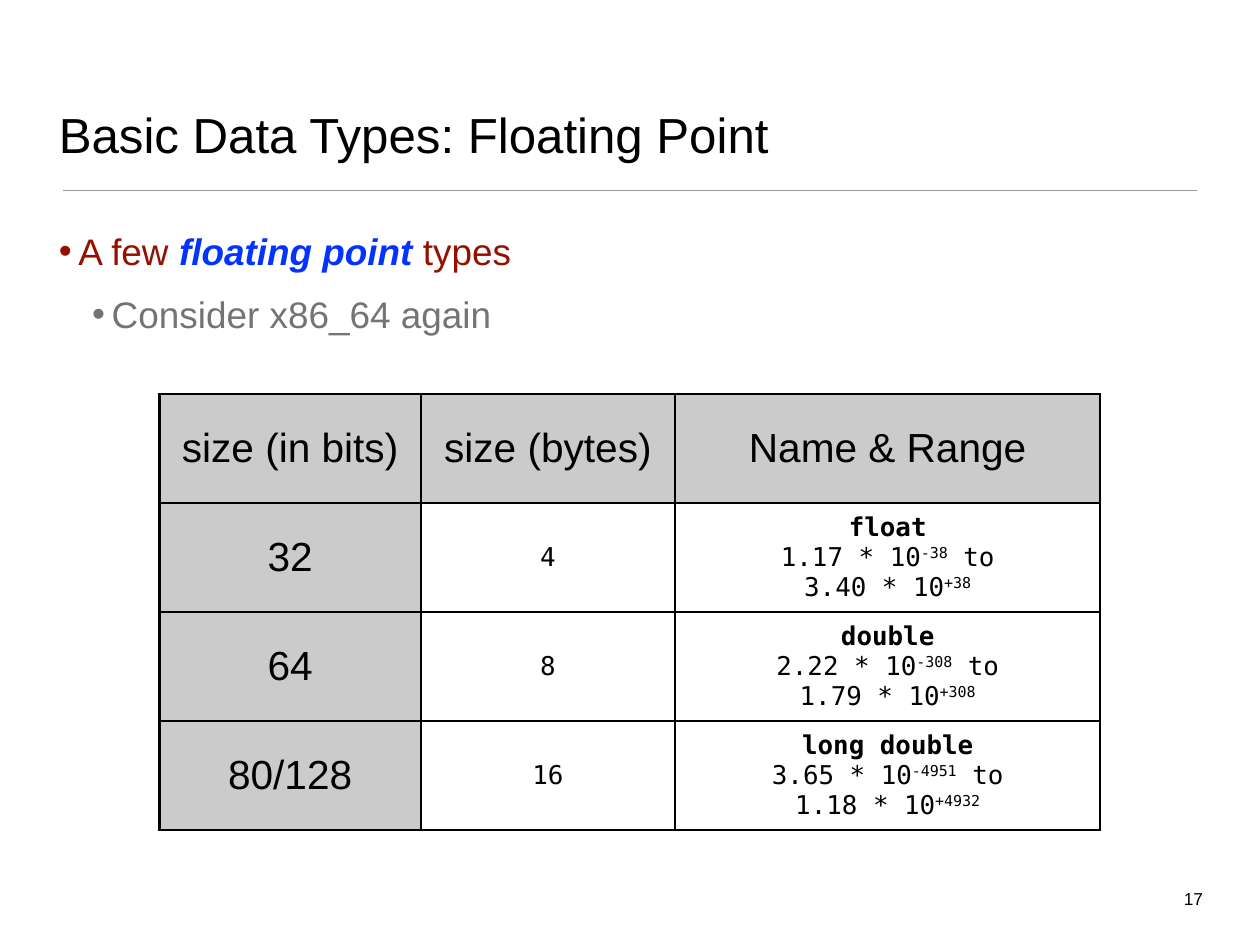
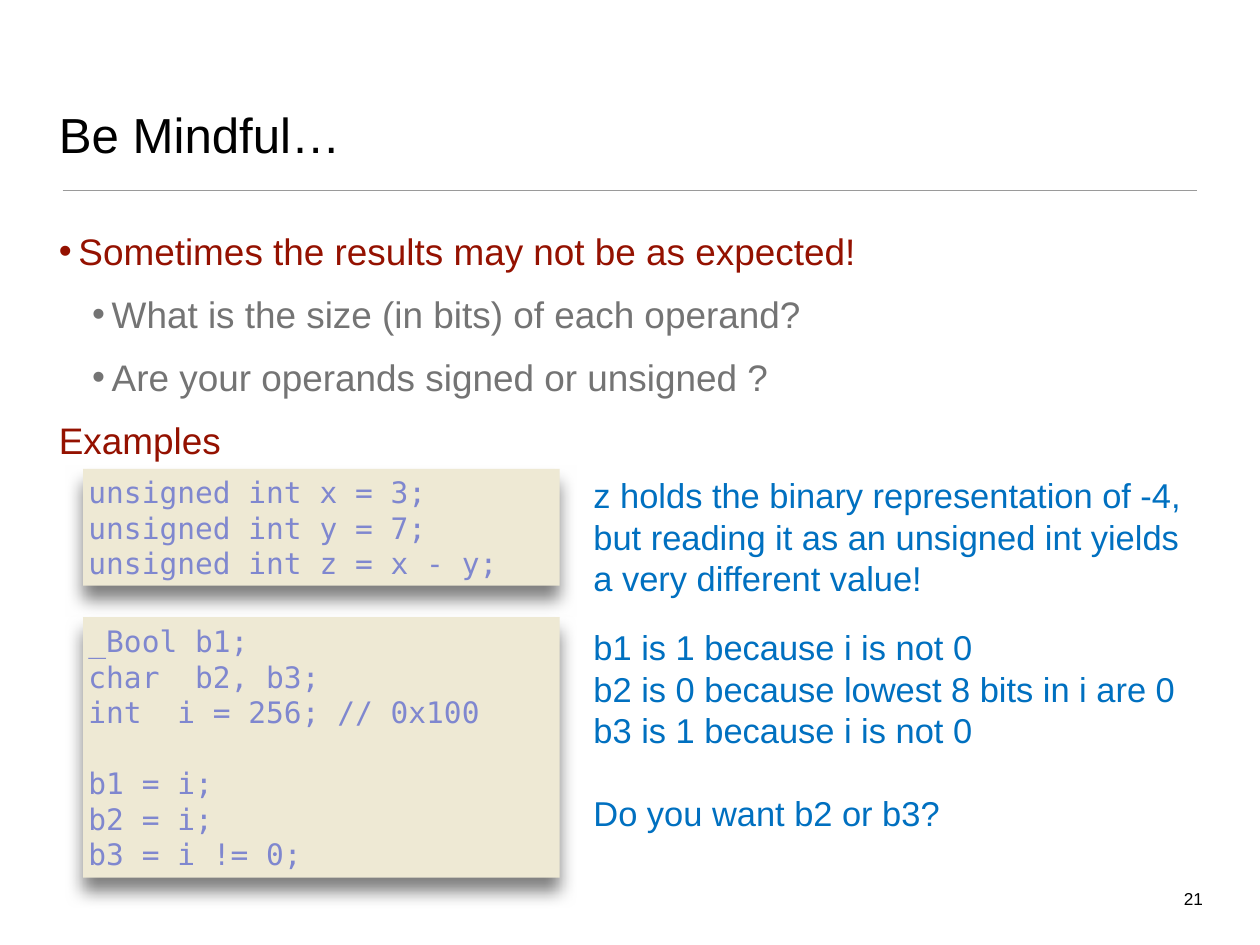
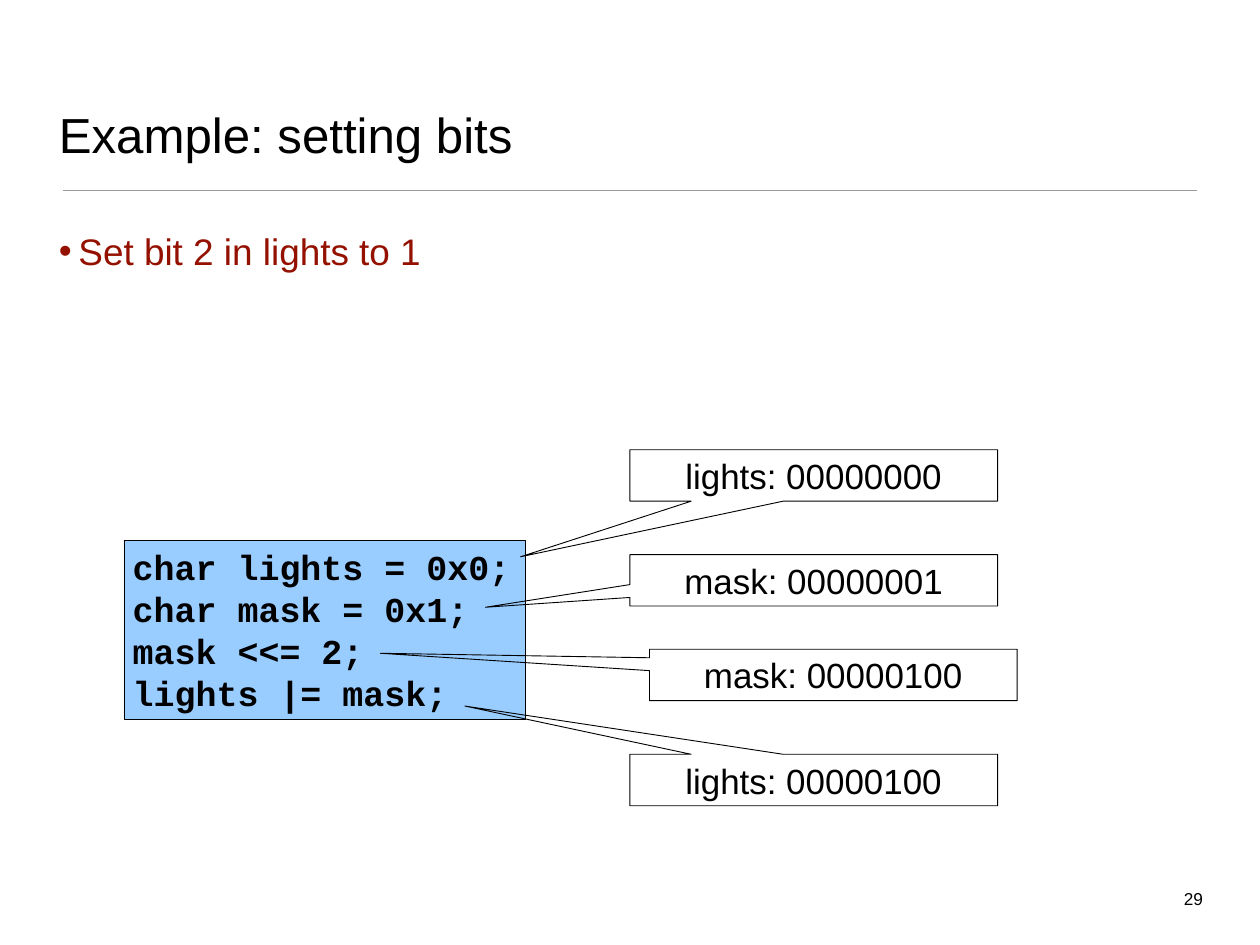
from dataclasses import dataclass
from typing import NamedTuple, Optional

from lxml.etree import SubElement
from pptx import Presentation
from pptx.dml.color import RGBColor
from pptx.enum.shapes import MSO_CONNECTOR as CONN, MSO_SHAPE as SHAPE
from pptx.enum.text import MSO_ANCHOR as ANCHOR, MSO_AUTO_SIZE as AUTO, PP_ALIGN as ALIGN
from pptx.oxml import parse_xml
from pptx.oxml.ns import nsdecls, qn
from pptx.util import Pt

COLORS = {
    "black": "000000", "rule": "9A9A9A", "red": "941100", "blue": "0433FF",
    "gray": "747474", "header": "CBCBCB", "code_bg": "EEE9D4",
    "code": "7F87CF", "note": "0070C0", "sky": "99CCFF",
}
SANS, MONO, COURIER = "Arial", "DejaVu Sans Mono", "Courier New"
LEADING = 1.2  # line pitch as a multiple of the text size


class Box(NamedTuple):
    x: float
    y: float
    w: float
    h: float


class Style(NamedTuple):
    size: float
    color: str = "black"
    font: str = SANS
    bold: bool = False
    italic: bool = False
    raised: bool = False


@dataclass
class Para:
    runs: list[tuple[str, Style]]
    level: int = 0
    bullet: bool = False
    before: float = 0
    align: ALIGN = ALIGN.LEFT


@dataclass
class Callout:
    text: str
    x: float
    y: float
    tip: tuple[float, float]


@dataclass
class FloatType:
    bits: str
    size: str
    name: str
    low: tuple[str, str]
    high: tuple[str, str]


TITLE = Style(40)
TOP, SUB = Style(30, "red"), Style(30, "gray")
KEY = Style(30, "blue", bold=True, italic=True)
NUMBER = Style(14)
HEAD, VALUE = Style(33), Style(21, font=MONO)
CODE, NOTE = Style(24, "code", MONO), Style(28, "note")
BITS_CODE, CALLOUT = Style(28.4, font=COURIER, bold=True), Style(28.4)

TITLE_BOX = Box(44.8, 26, 933.6, 110)
BODY_BOX = Box(44.8, 183, 933.6, 517)
NUMBER_BOX = Box(958.3, 719.3, 22.4, 21.6)
INDENTS = (16, 43)
HANG = 16
BULLET_GAP = 15


def rgb(name: str) -> RGBColor:
    return RGBColor.from_string(COLORS[name])


# Text
def add_run(p, text: str, st: Style) -> None:
    r = p.add_run()
    r.text = text
    f = r.font
    f.size, f.name, f.bold, f.italic = Pt(st.size), st.font, st.bold, st.italic
    f.color.rgb = rgb(st.color)
    if st.raised:
        r._r.get_or_add_rPr().set("baseline", "32000")


def set_bullet(p, level: int, bullet: bool) -> None:
    pPr = p._p.get_or_add_pPr()
    pPr.set("marL", str(Pt(INDENTS[level]) if bullet else 0))
    pPr.set("indent", str(Pt(-HANG) if bullet else 0))
    if bullet:
        SubElement(pPr, qn("a:buChar")).set("char", "•")
    else:
        SubElement(pPr, qn("a:buNone"))


def write(tf, paras: list[Para], fixed: bool = True) -> None:
    for i, para in enumerate(paras):
        p = tf.paragraphs[0] if i == 0 else tf.add_paragraph()
        set_bullet(p, para.level, para.bullet)
        p.level, p.alignment = para.level, para.align
        p.space_before = Pt(para.before if i else 0)
        if fixed:
            p.line_spacing = Pt(round(para.runs[0][1].size * LEADING, 2))
        for text, st in para.runs:
            add_run(p, text, st)


def set_frame(tf, anchor: ANCHOR, inset_x: float, inset_y: float, wrap: bool = True) -> None:
    tf.auto_size, tf.word_wrap, tf.vertical_anchor = AUTO.NONE, wrap, anchor
    tf.margin_left = tf.margin_right = Pt(inset_x)
    tf.margin_top = tf.margin_bottom = Pt(inset_y)


def lines(texts: list[str], st: Style, gap_at: Optional[int] = None) -> list[Para]:
    """One paragraph per text, with one line of space above number gap_at."""
    return [Para([(t, st)], before=st.size * LEADING if i == gap_at else 0)
            for i, t in enumerate(texts)]


def point(text: str, level: int = 0) -> Para:
    return Para([(text, SUB if level else TOP)], level, True, BULLET_GAP)


# Shapes
def place(sp, box: Box) -> None:
    sp.left, sp.top, sp.width, sp.height = (Pt(v) for v in box)


def add_text(slide, box: Box, paras: list[Para], inset: float = 4.3,
             anchor: ANCHOR = ANCHOR.MIDDLE, wrap: bool = True) -> None:
    sp = slide.shapes.add_textbox(*(Pt(v) for v in box))
    set_frame(sp.text_frame, anchor, inset, inset, wrap)
    write(sp.text_frame, paras)


def add_box(slide, kind: SHAPE, box: Box, paras: list[Para], fill: Optional[str] = None,
            line: Optional[str] = None, insets: tuple[float, float] = (7.2, 3.6)):
    sp = slide.shapes.add_shape(kind, *(Pt(v) for v in box))
    sp.shadow.inherit = False
    if fill:
        sp.fill.solid()
        sp.fill.fore_color.rgb = rgb(fill)
    else:
        sp.fill.background()
    if line:
        sp.line.color.rgb = rgb(line)
        sp.line.width = Pt(0.75)
    else:
        sp.line.fill.background()
    set_frame(sp.text_frame, ANCHOR.MIDDLE, *insets)
    write(sp.text_frame, paras)
    return sp


def add_shadow(sp) -> None:
    effects = sp._element.spPr.find(qn("a:effectLst"))
    effects.append(parse_xml(
        f'<a:outerShdw {nsdecls("a")} blurRad="{Pt(14)}" dist="{Pt(11)}" dir="5400000" '
        f'rotWithShape="0"><a:srgbClr val="{COLORS["black"]}"><a:alpha val="50000"/>'
        '</a:srgbClr></a:outerShdw>'))


# Parts every slide shares
def new_slide(prs, title: str, number: int, body: list[Para]):
    slide = prs.slides.add_slide(prs.slide_layouts[1])
    head, content = slide.placeholders
    for sp, box, anchor, paras in (
            (head, TITLE_BOX, ANCHOR.BOTTOM, [Para([(title, TITLE)])]),
            (content, BODY_BOX, ANCHOR.TOP, body)):
        place(sp, box)
        set_frame(sp.text_frame, anchor, 3, 3)
        write(sp.text_frame, paras)
    rule = slide.shapes.add_connector(CONN.STRAIGHT, Pt(51), Pt(154.8), Pt(973), Pt(154.8))
    rule.line.color.rgb = rgb("rule")
    rule.line.width = Pt(1)
    SubElement(rule._element.spPr, qn("a:effectLst"))
    add_text(slide, NUMBER_BOX, [Para([(str(number), NUMBER)], align=ALIGN.RIGHT)],
             3, ANCHOR.TOP, False)
    return slide


# Table
def set_cell(cell, paras: list[Para], fill: Optional[str] = None) -> None:
    if fill:
        cell.fill.solid()
        cell.fill.fore_color.rgb = rgb(fill)
    else:
        cell.fill.background()
    cell.vertical_anchor = ANCHOR.MIDDLE
    cell.margin_left = cell.margin_right = cell.margin_top = cell.margin_bottom = Pt(2.5)
    for i, side in enumerate(("lnL", "lnR", "lnT", "lnB")):
        cell._tc.get_or_add_tcPr().insert(i, parse_xml(
            f'<a:{side} {nsdecls("a")} w="{Pt(2)}"><a:solidFill>'
            f'<a:srgbClr val="{COLORS["black"]}"/></a:solidFill></a:{side}>'))
    for para in paras:
        para.align = ALIGN.CENTER
    write(cell.text_frame, paras, fixed=False)


def range_paras(ft: FloatType) -> list[Para]:
    def power(number: tuple[str, str]) -> list[tuple[str, Style]]:
        return [(f"{number[0]} * 10", VALUE), (number[1], VALUE._replace(raised=True))]
    return [Para([(ft.name, VALUE._replace(bold=True))]),
            Para(power(ft.low) + [(" to", VALUE)]),
            Para(power(ft.high))]


def add_type_table(slide, headers: list[str], types: list[FloatType]) -> None:
    widths, row_h = (212.4, 206.6, 345.6), 88.6
    n = len(types) + 1
    tbl = slide.shapes.add_table(n, len(widths), Pt(129.6), Pt(320.4),
                                 Pt(sum(widths)), Pt(n * row_h)).table
    tbl.first_row = tbl.horz_banding = False
    for col, w in zip(tbl.columns, widths):
        col.width = Pt(w)
    for row in tbl.rows:
        row.height = Pt(row_h)
    for c, text in enumerate(headers):
        set_cell(tbl.cell(0, c), lines([text], HEAD), "header")
    for i, ft in enumerate(types, 1):
        set_cell(tbl.cell(i, 0), lines([ft.bits], HEAD), "header")
        set_cell(tbl.cell(i, 1), lines([ft.size], VALUE))
        set_cell(tbl.cell(i, 2), range_paras(ft))


# Slides
def floating_point(prs) -> None:
    slide = new_slide(prs, "Basic Data Types: Floating Point", 17, [
        Para([("A few ", TOP), ("floating point", KEY), (" types", TOP)], bullet=True),
        point("Consider x86_64 again", 1)])
    add_type_table(slide, ["size (in bits)", "size (bytes)", "Name & Range"], [
        FloatType("32", "4", "float", ("1.17", "-38"), ("3.40", "+38")),
        FloatType("64", "8", "double", ("2.22", "-308"), ("1.79", "+308")),
        FloatType("80/128", "16", "long double", ("3.65", "-4951"), ("1.18", "+4932"))])


def be_mindful(prs) -> None:
    slide = new_slide(prs, "Be Mindful…", 21, [
        point("Sometimes the results may not be as expected!"),
        point("What is the size (in bits) of each operand?", 1),
        point("Are your operands signed or unsigned ?", 1),
        Para([("Examples", TOP)], before=BULLET_GAP)])
    subtraction = lines(["unsigned int x = 3;", "unsigned int y = 7;",
                         "unsigned int z = x - y;"], CODE)
    conversion = lines(["_Bool b1;", "char  b2, b3;", "int  i = 256; // 0x100",
                        "b1 = i;", "b2 = i;", "b3 = i != 0;"], CODE, 3)
    for y, h, code in ((381, 95, subtraction), (501.6, 211.6, conversion)):
        add_shadow(add_box(slide, SHAPE.RECTANGLE, Box(67.6, y, 387.2, h), code,
                           "code_bg", insets=(4.3, 4.3)))
    reading = lines(["z holds the binary representation of -4, but reading it as "
                     "an unsigned int yields a very different value!"], NOTE)
    results = lines(["b1 is 1 because i is not 0",
                     "b2 is 0 because lowest 8 bits in i are 0",
                     "b3 is 1 because i is not 0", "Do you want b2 or b3?"], NOTE, 3)
    for y, h, note in ((381, 110, reading), (504, 178, results)):
        add_text(slide, Box(478, y, 501, h), note)


def setting_bits(prs) -> None:
    slide = new_slide(prs, "Example: setting bits", 29, [point("Set bit 2 in lights to 1")])
    add_box(slide, SHAPE.RECTANGLE, Box(100.8, 439.2, 326.2, 145.4), lines(
        ["char lights = 0x0;", "char mask = 0x1;", "mask <<= 2;", "lights |= mask;"],
        BITS_CODE), "sky", "black")
    w, h = 298.8, 41.8
    for c in (Callout("lights: 00000000", 511.9, 365.5, (423, 452.5)),
              Callout("mask: 00000001", 511.9, 450.7, (394.5, 493.5)),
              Callout("mask: 00000100", 527.8, 527.6, (309, 530.9)),
              Callout("lights: 00000100", 511.9, 613, (377.8, 573.8))):
        sp = add_box(slide, SHAPE.RECTANGULAR_CALLOUT, Box(c.x, c.y, w, h),
                     [Para([(c.text, CALLOUT)], align=ALIGN.CENTER)], line="black")
        # The tip is measured from the centre, in box widths and heights
        sp.adjustments[0] = (c.tip[0] - c.x) / w - 0.5
        sp.adjustments[1] = (c.tip[1] - c.y) / h - 0.5


def main() -> None:
    prs = Presentation()
    prs.slide_width, prs.slide_height = Pt(1024), Pt(768)
    for build in (floating_point, be_mindful, setting_bits):
        build(prs)
    prs.save("out.pptx")


if __name__ == "__main__":
    main()
